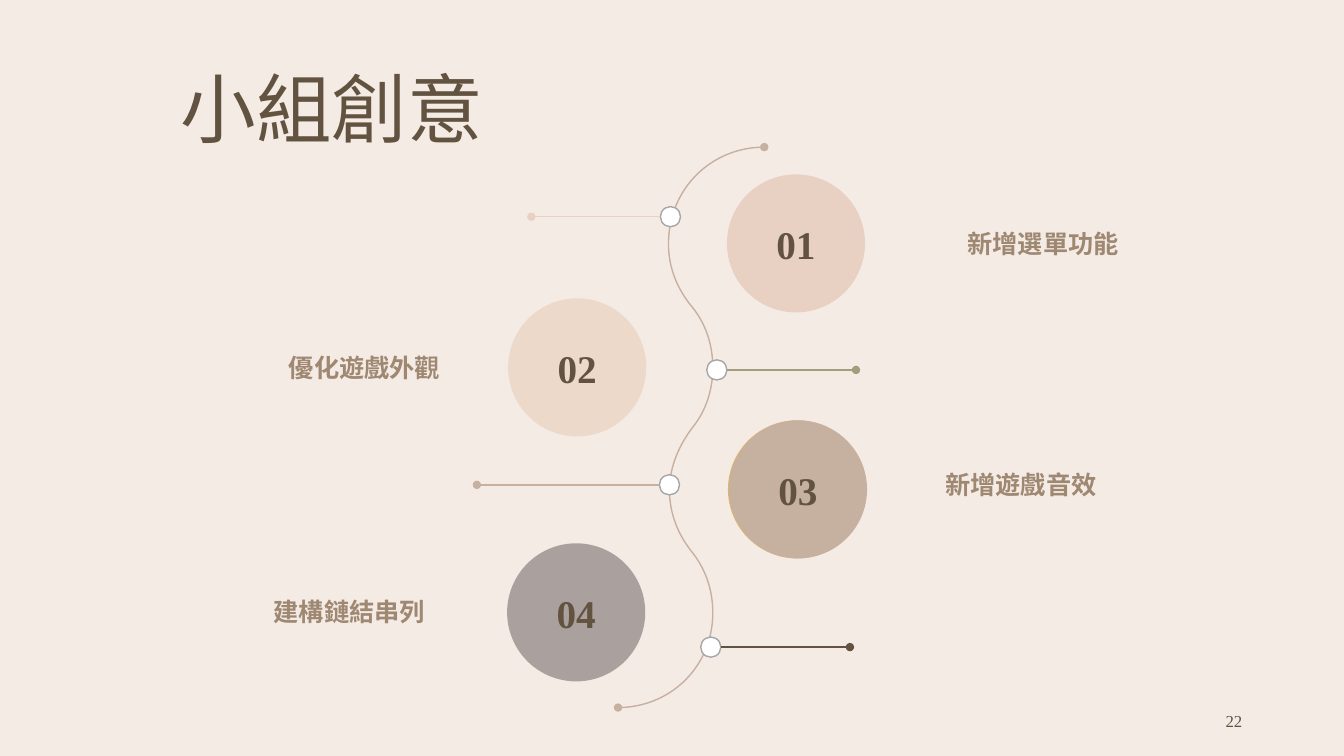
from lxml import etree
from pptx import Presentation
from pptx import util as u
from pptx.dml.color import RGBColor
from pptx.enum import shapes, text
from pptx.oxml.ns import qn

PX = 9144  # one px is a hundredth of an inch
FONT = "Times New Roman"
COLORS = {
    "paper": "F5EBE5", "ink": "625240", "label": "9F8872", "white": "FFFFFF",
    "ring": "A6A6A6", "gold": "DCB66B", "taupe": "C6B0A0", "blush": "E8D1C3",
    "cream": "ECD9CA", "gray": "AAA09E", "olive": "A39C7D",
}

# Content
TITLE = "小組創意"
PAGE = "22"
# number, circle left and top, circle colour, label, label left and top
IDEAS = [
    ("01", (721, 173), "blush", "新增選單功能", (929, 222)),
    ("02", (504, 296), "cream", "優化遊戲外觀", (256, 345)),
    ("03", (723, 417), "taupe", "新增遊戲音效", (907, 461)),
    ("04", (503, 539), "gray", "建構鏈結串列", (241, 587)),
]
# centre of the node, x of the branch end, branch colour
BRANCHES = [
    ((665, 215), 527, "blush"),
    ((711, 367), 849, "olive"),
    ((664, 481), 473, "taupe"),
    ((705, 642), 843, "ink"),
]
# start, then two control points and an end point for each curve
SPINE = [
    (613, 702),
    (665, 702), (707, 660), (707, 608),
    (707, 584), (699, 563), (685, 546),
    (672, 529), (664, 509), (664, 486),
    (664, 463), (674, 441), (687, 424),
    (700, 408), (707, 387), (707, 365),
    (707, 342), (700, 321), (686, 304),
    (672, 287), (663, 266), (663, 242),
    (663, 189), (705, 146), (758, 146),
]
CIRCLE, NODE = 137, 20
LABEL_SIZE = (211, 40)


def emu(*lengths):
    return [u.Emu(length * PX) for length in lengths]


def rgb(name):
    return RGBColor.from_string(COLORS[name])


def style_text(frame, words, size, color, align, bold=False):
    frame.word_wrap = True
    frame.text = words
    line = frame.paragraphs[0]
    line.alignment = align
    line.font.name, line.font.size, line.font.bold = FONT, u.Pt(size), bold
    line.font.color.rgb = rgb(color)
    return line


def add_text(box, words, size, color, align, bold=False):
    frame = slide.shapes.add_textbox(*emu(*box)).text_frame
    style_text(frame, words, size, color, align, bold)
    return frame


def add_disc(left, top, size, color, outline=None):
    disc = slide.shapes.add_shape(shapes.MSO_SHAPE.OVAL, *emu(left, top, size, size))
    disc.shadow.inherit = False
    disc.fill.solid()
    disc.fill.fore_color.rgb = rgb(color)
    if outline:
        disc.line.color.rgb, disc.line.width = rgb(outline), u.Pt(1)
    else:
        disc.line.fill.background()
    return disc


def style_line(part, color, *ends):
    part.line.color.rgb, part.line.width = rgb(color), u.Pt(1)
    for end in ends:
        etree.SubElement(part.line._get_or_add_ln(), qn(end), type="oval")


prs = Presentation()
prs.slide_width, prs.slide_height = emu(1333, 750)
slide = prs.slides.add_slide(prs.slide_layouts[5])
slide.background.fill.solid()
slide.background.fill.fore_color.rgb = rgb("paper")

# Title
title = slide.shapes.title
title.left, title.top, title.width, title.height = emu(169, 40, 1073, 145)
title.text_frame.vertical_anchor = text.MSO_ANCHOR.MIDDLE
heading = style_text(title.text_frame, TITLE, 54, "ink", text.PP_ALIGN.LEFT)
heading.line_spacing = 0.9

# Numbered circles and their labels
for number, (left, top), color, label, label_at in IDEAS:
    if number == "03":
        add_disc(left - 1, top, CIRCLE, "gold")  # thin gold edge
    frame = add_disc(left, top, CIRCLE, color).text_frame
    frame.margin_left, frame.margin_right, frame.margin_top, frame.margin_bottom = emu(0, 0, 4, 4)
    frame.vertical_anchor = text.MSO_ANCHOR.MIDDLE
    style_text(frame, number, 28, "ink", text.PP_ALIGN.CENTER, bold=True)
    add_text((*label_at, *LABEL_SIZE), label, 18, "label", text.PP_ALIGN.CENTER, bold=True)

# Winding spine: every three points become one Bézier curve
builder = slide.shapes.build_freeform(*SPINE[0], scale=PX)
builder.add_line_segments(SPINE[1:], close=False)
spine = builder.convert_to_shape()
spine.shadow.inherit = False
spine.fill.background()
style_line(spine, "taupe", "a:headEnd", "a:tailEnd")
outline = next(spine._element.iter(qn("a:path")))
steps = outline.findall(qn("a:lnTo"))
for first in range(0, len(steps), 3):
    curve = etree.SubElement(outline, qn("a:cubicBezTo"))
    for step in steps[first:first + 3]:
        curve.append(step[0])
        outline.remove(step)

# Nodes on the spine with their branches
for (x, y), end_x, color in BRANCHES:
    add_disc(x - NODE // 2, y - NODE // 2, NODE, "white", "ring")
    start_x = x + (NODE // 2 if end_x > x else -NODE // 2)
    branch = slide.shapes.add_connector(
        shapes.MSO_CONNECTOR.STRAIGHT, *emu(start_x, y, end_x, y))
    style_line(branch, color, "a:tailEnd")
    etree.SubElement(branch._element.spPr, qn("a:effectLst"))

# Page number
page = add_text((942, 695, 300, 40), PAGE, 12, "ink", text.PP_ALIGN.RIGHT)
page.vertical_anchor = text.MSO_ANCHOR.MIDDLE

prs.save("out.pptx")
